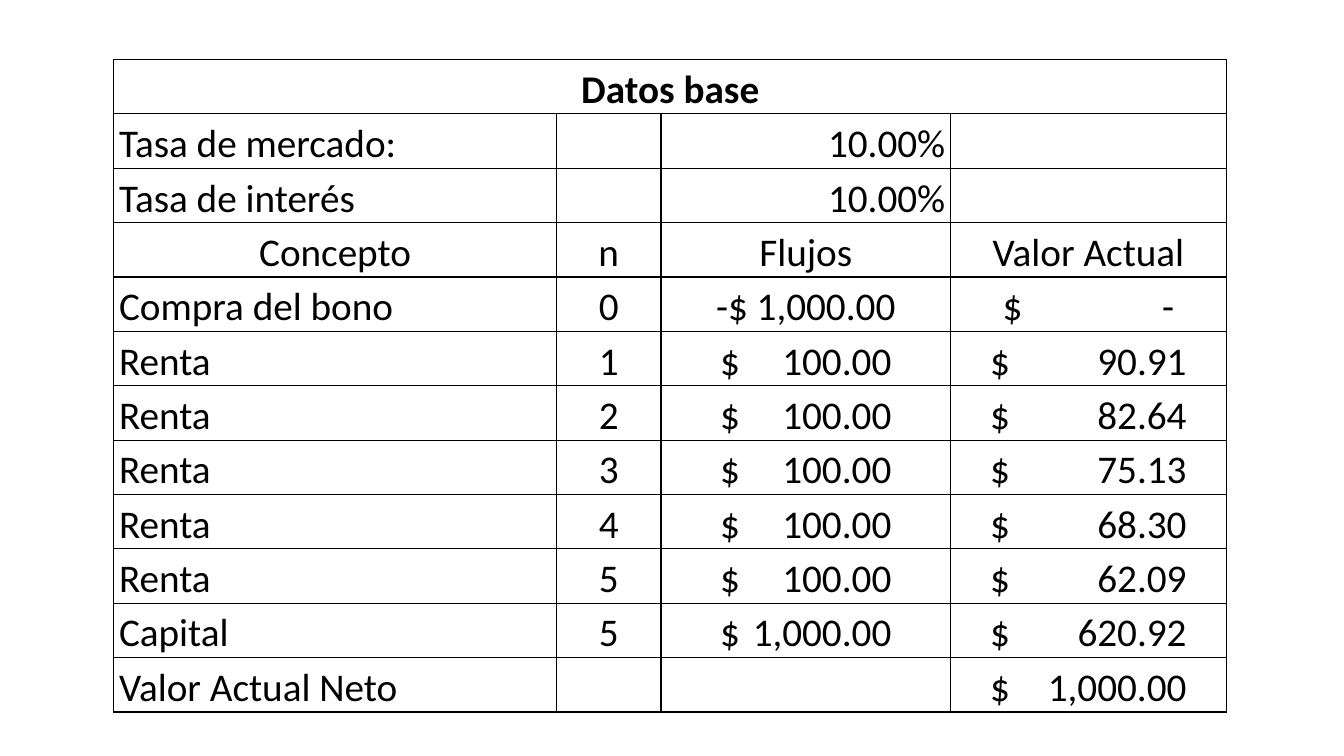
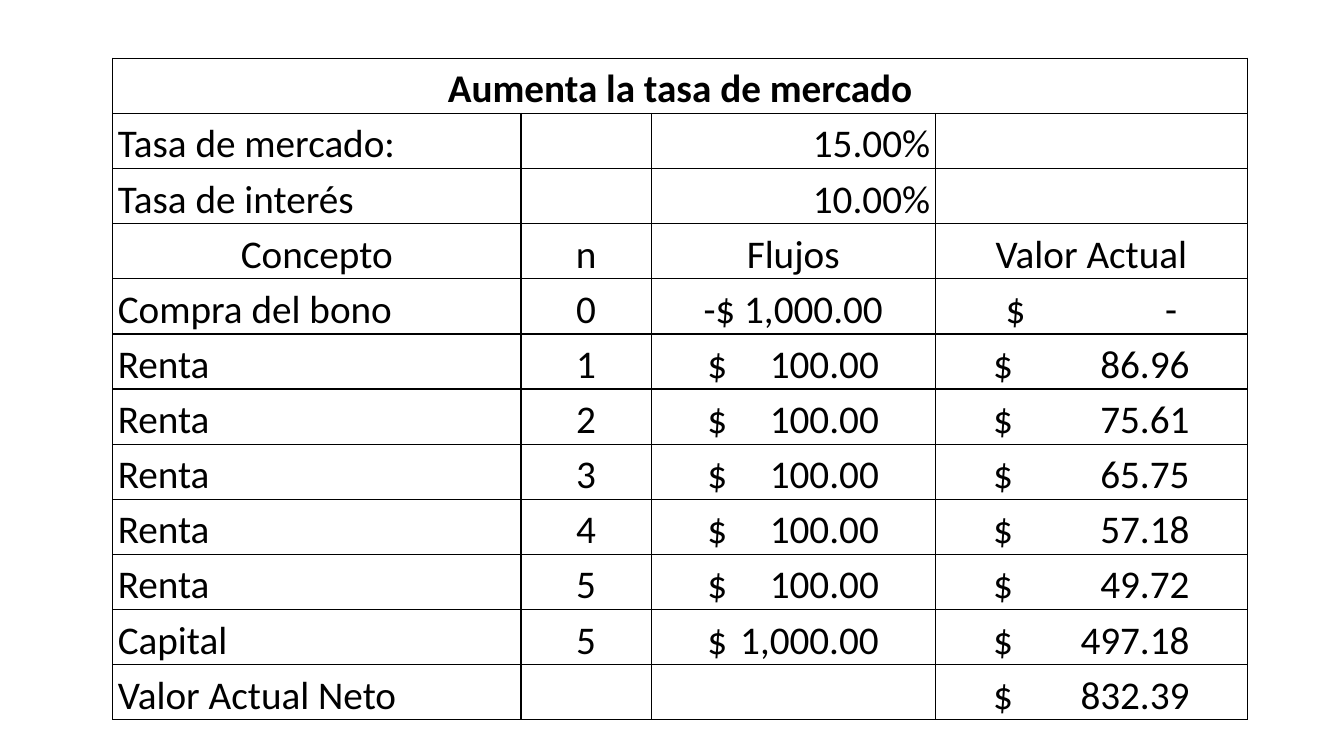
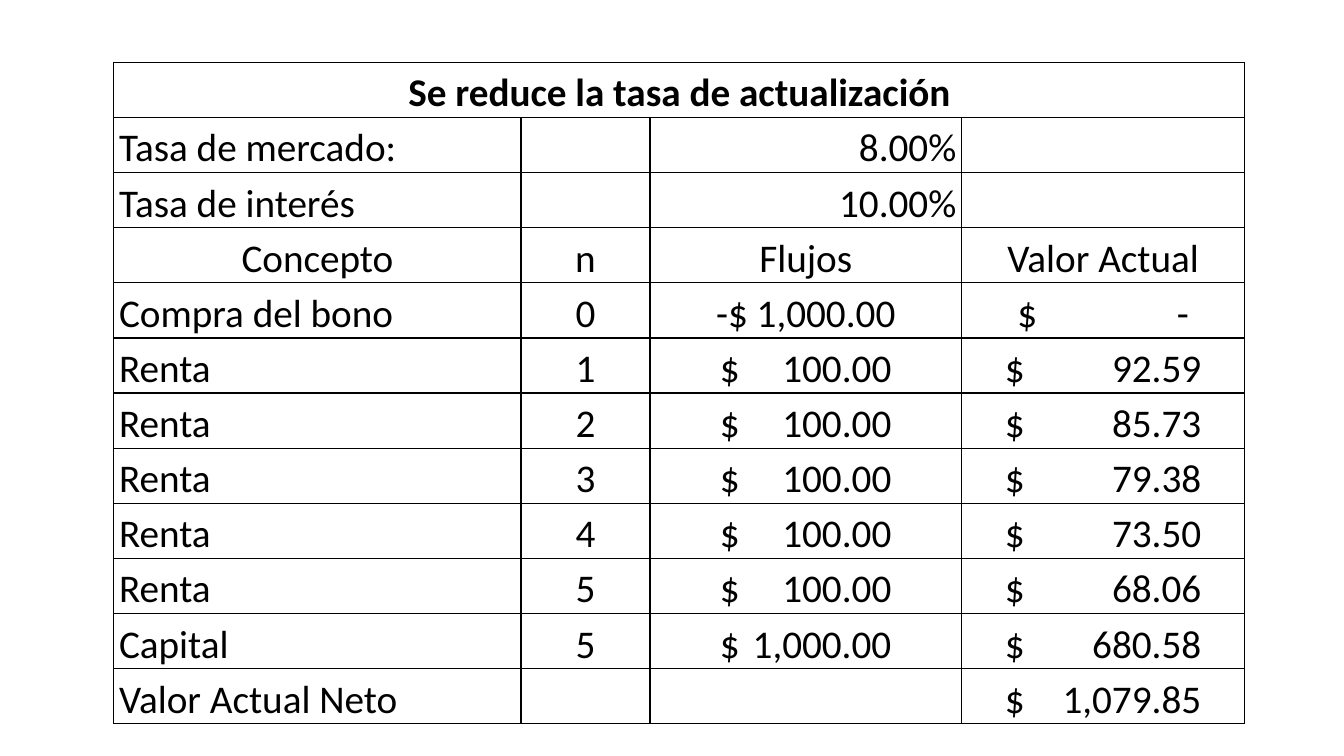
from lxml import etree
from pptx import Presentation
from pptx.dml.color import RGBColor
from pptx.enum.text import MSO_ANCHOR, PP_ALIGN
from pptx.oxml.ns import qn
from pptx.util import Cm, Pt

LEFT, CENTER, RIGHT = PP_ALIGN.LEFT, PP_ALIGN.CENTER, PP_ALIGN.RIGHT
BOTTOM = MSO_ANCHOR.BOTTOM
BLACK = RGBColor(0x00, 0x00, 0x00)
WHITE = RGBColor(0xFF, 0xFF, 0xFF)

# Widths between the currency sign and the right edge of the amount, in cm
NARROW_AMOUNT = 4.32
WIDE_AMOUNT = 4.95

# Concept, period and cash flow of the bond, the same in every scenario
BOND_FLOWS = [
    ("Compra del bono", "0", "-$ 1,000.00"),
    *[("Renta", str(period), "$\t100.00") for period in range(1, 6)],
    ("Capital", "5", "$\t1,000.00"),
    ("Valor Actual Neto", "", ""),
]

# Title, market rate, present values, position, column widths, row height, line spacing
SCENARIOS = [
    ("Datos base", "10.00%",
     ["-", "90.91", "82.64", "75.13", "68.30", "62.09", "620.92", "1,000.00"],
     (2.87, 1.5), (11.15, 2.64, 7.29, 6.96), 1.37, 1.0),
    ("Aumenta la tasa de mercado", "15.00%",
     ["-", "86.96", "75.61", "65.75", "57.18", "49.72", "497.18", "832.39"],
     (2.84, 1.47), (10.29, 3.28, 7.16, 7.87), 1.39, 1.0),
    ("Se reduce la tasa de actualización", "8.00%",
     ["-", "92.59", "85.73", "79.38", "73.50", "68.06", "680.58", "1,079.85"],
     (2.87, 1.57), (10.26, 3.25, 7.85, 7.14), 1.37, 1.15),
]


class Deck:
    """Holds the table style and the current slide."""

    font_name = "Calibri"
    font_size = Pt(28)
    border_width = Pt(1)
    side_margin = Cm(0.13)

    def __init__(self):
        self.presentation = Presentation()
        self.presentation.slide_width = Cm(33.87)
        self.presentation.slide_height = Cm(19.05)
        self.slide = None

    def new_slide(self):
        blank_layout = self.presentation.slide_layouts[6]
        self.slide = self.presentation.slides.add_slide(blank_layout)

    def table(self, rows, position, widths, row_height, line_spacing):
        left, top = position
        table = self.slide.shapes.add_table(
            len(rows), len(widths), Cm(left), Cm(top),
            Cm(sum(widths)), Cm(row_height * len(rows))).table
        table.first_row = table.horz_banding = False
        for column, width in zip(table.columns, widths):
            column.width = Cm(width)
        for row_index, row in enumerate(rows):
            table.rows[row_index].height = Cm(row_height)
            for column_index, (text, alignment) in enumerate(row):
                cell = table.cell(row_index, column_index)
                self.frame_cell(cell)
                self.cell_text(cell, text, alignment, line_spacing, row_index == 0)
                if "\t" in text:
                    narrow = column_index == 2 or text.endswith("-")
                    amount_width = NARROW_AMOUNT if narrow else WIDE_AMOUNT
                    self.align_amount(cell, widths[column_index], amount_width)
        table.cell(0, 0).merge(table.cell(0, len(widths) - 1))

    def frame_cell(self, cell):
        cell.margin_left = cell.margin_right = self.side_margin
        cell.margin_top = cell.margin_bottom = 0
        cell.vertical_anchor = BOTTOM
        properties = cell._tc.get_or_add_tcPr()
        for side in ("a:lnL", "a:lnR", "a:lnT", "a:lnB"):
            line = etree.SubElement(properties, qn(side), w=str(self.border_width))
            fill = etree.SubElement(line, qn("a:solidFill"))
            etree.SubElement(fill, qn("a:srgbClr"), val=str(BLACK))
        cell.fill.solid()
        cell.fill.fore_color.rgb = WHITE

    def cell_text(self, cell, text, alignment, line_spacing, bold):
        cell.text_frame.text = text
        paragraph = cell.text_frame.paragraphs[0]
        paragraph.alignment = alignment
        paragraph.line_spacing = line_spacing
        for run in paragraph.runs:
            run.font.name = self.font_name
            run.font.size = self.font_size
            run.font.bold = bold
            run.font.color.rgb = BLACK

    def align_amount(self, cell, column_width, amount_width):
        """Centre the amount in its column, with the figure on a right tab."""
        cell.margin_left = Cm((column_width - amount_width) / 2)
        paragraph = cell.text_frame.paragraphs[0]
        paragraph.alignment = LEFT
        tabs = etree.SubElement(paragraph._p.get_or_add_pPr(), qn("a:tabLst"))
        etree.SubElement(tabs, qn("a:tab"), pos=str(Cm(amount_width)), algn="r")


def scenario_rows(title, market_rate, present_values):
    # Title, rates and column headings
    empty = ("", LEFT)
    rows = [
        [(title, CENTER), empty, empty, empty],
        [("Tasa de mercado:", LEFT), empty, (market_rate, RIGHT), empty],
        [("Tasa de interés", LEFT), empty, ("10.00%", RIGHT), empty],
        [(heading, CENTER) for heading in ("Concepto", "n", "Flujos", "Valor Actual")],
    ]
    # Cash flows with their present values
    for (concept, period, flow), value in zip(BOND_FLOWS, present_values):
        rows.append([(concept, LEFT), (period, CENTER), (flow, CENTER),
                     (f"$\t{value}", CENTER)])
    return rows


def main():
    deck = Deck()
    for title, market_rate, present_values, *layout in SCENARIOS:
        deck.new_slide()
        deck.table(scenario_rows(title, market_rate, present_values), *layout)
    deck.presentation.save("out.pptx")


if __name__ == "__main__":
    main()
